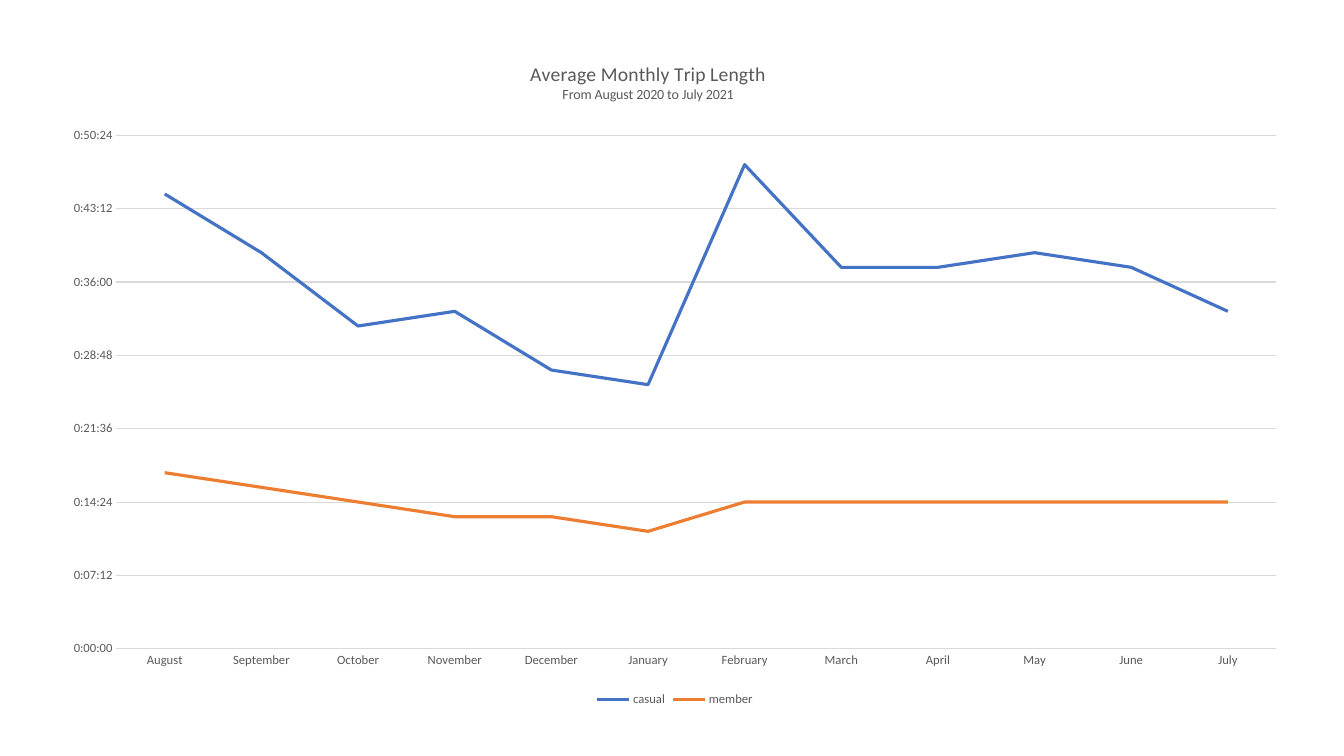
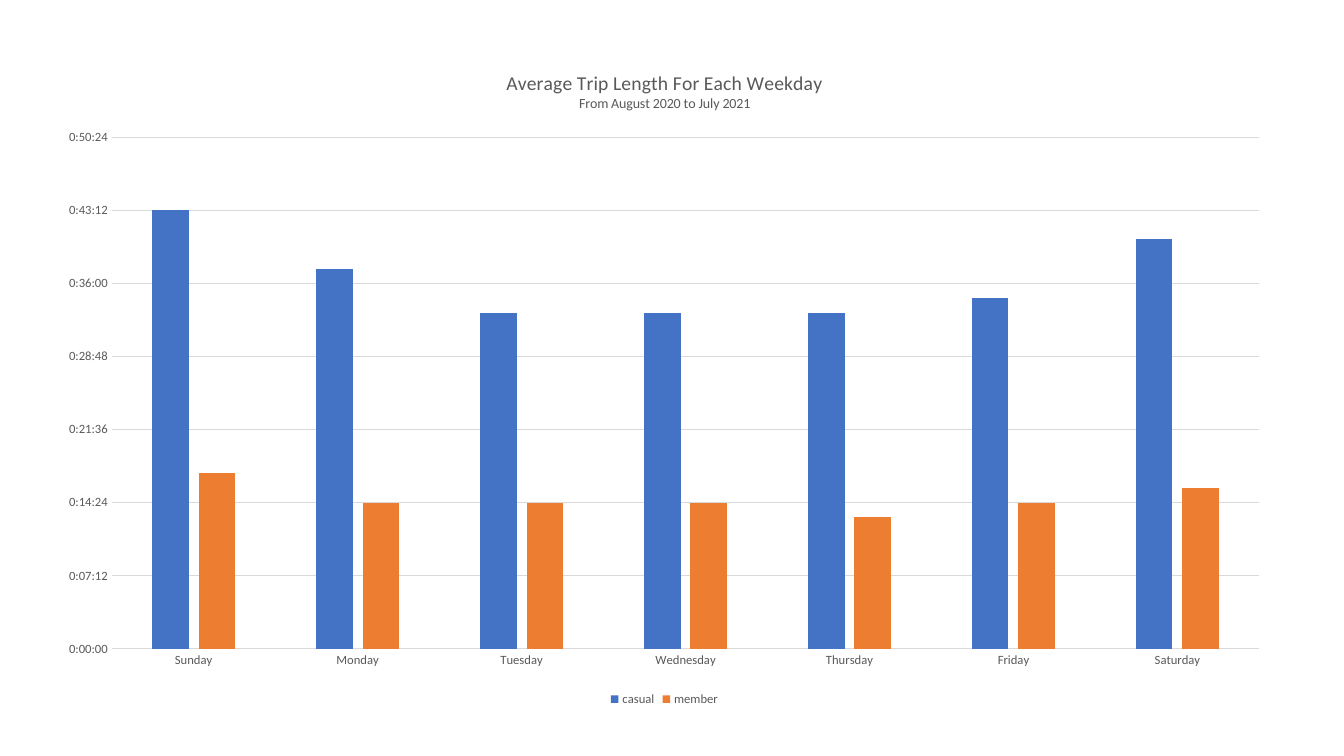
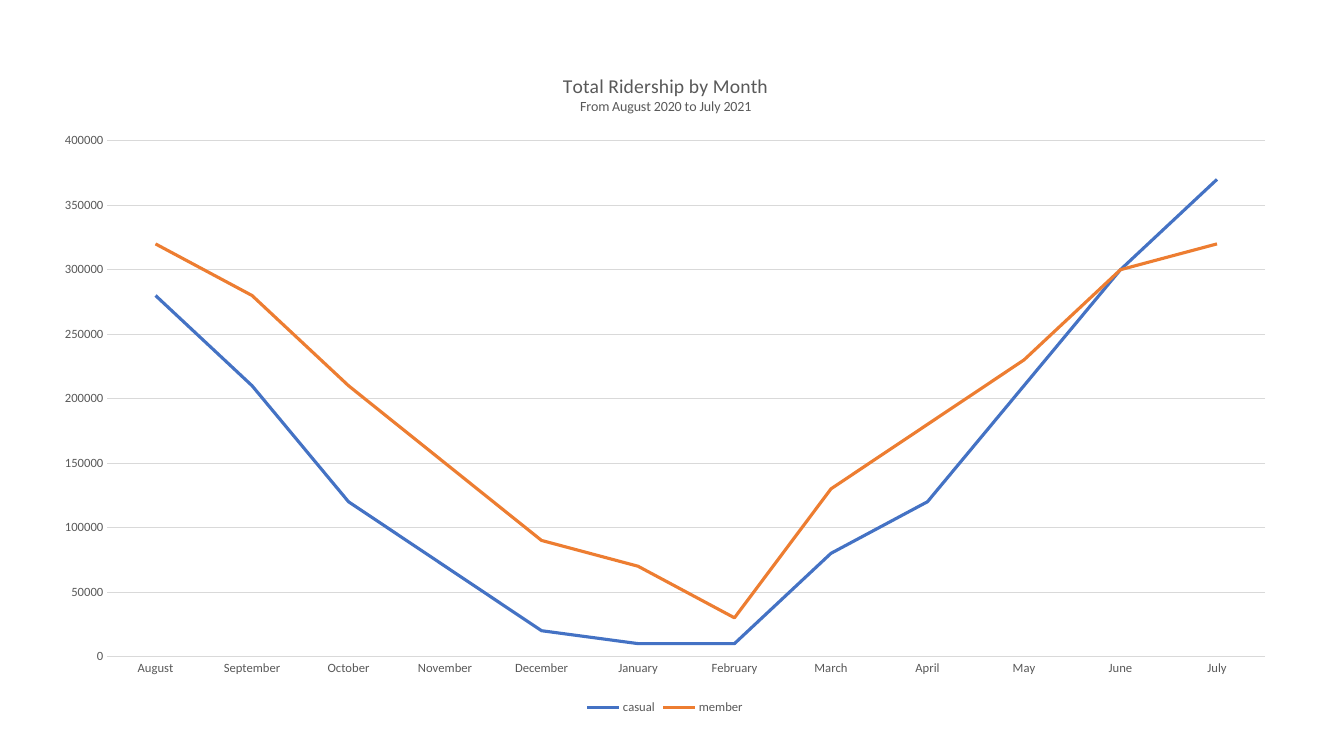
from lxml.etree import SubElement
from pptx import Presentation
from pptx.chart.data import CategoryChartData
from pptx.dml.color import RGBColor
from pptx.enum.chart import XL_CHART_TYPE, XL_LEGEND_POSITION, XL_TICK_MARK
from pptx.oxml import parse_xml
from pptx.oxml.ns import nsdecls, qn
from pptx.util import Inches, Pt

# Shared look
FONT = "Calibri"
GREY = RGBColor(0x59, 0x59, 0x59)
RULE = RGBColor(0xD9, 0xD9, 0xD9)
BLUE = RGBColor(0x44, 0x72, 0xC4)
ORANGE = RGBColor(0xED, 0x7D, 0x31)
RIDER_COLORS = {"casual": BLUE, "member": ORANGE}
SUBTITLE = "From August 2020 to July 2021"
PLOT_BOX = dict(x=0.0543, y=0.134, w=0.9255, h=0.773)
DURATION = "[h]:mm:ss;@"
MONTHS = ["August", "September", "October", "November", "December", "January",
          "February", "March", "April", "May", "June", "July"]
WEEKDAYS = ["Sunday", "Monday", "Tuesday", "Wednesday", "Thursday", "Friday", "Saturday"]


def style_font(font, size=9, color=GREY):
    font.name, font.size, font.bold = FONT, Pt(size), False
    font.color.rgb = color


def add_text(p, text, **style):
    r = p.add_run()
    r.text = text
    style_font(r.font, **style)


def place(element, index, **box):
    """Fix a chart part at fractions of the chart's own size."""
    for old in element.findall(qn("c:layout")):
        element.remove(old)
    layout = parse_xml(f"<c:layout {nsdecls('c')}/>")
    manual = SubElement(layout, qn("c:manualLayout"))
    if "w" in box:
        SubElement(manual, qn("c:layoutTarget")).set("val", "inner")
    for mode in ("xMode", "yMode"):
        SubElement(manual, qn(f"c:{mode}")).set("val", "edge")
    for key, value in box.items():
        SubElement(manual, qn(f"c:{key}")).set("val", str(value))
    element.insert(index, layout)


def add_title(chart, title, x, y):
    chart.has_title = True
    tf = chart.chart_title.text_frame
    add_text(tf.paragraphs[0], title, size=14)
    add_text(tf.add_paragraph(), SUBTITLE, size=10)
    place(chart.chart_title.element, 1, x=x, y=y)


def style_axes(chart, top, step, number_format):
    for axis in (chart.category_axis, chart.value_axis):
        axis.major_tick_mark = axis.minor_tick_mark = XL_TICK_MARK.NONE
        style_font(axis.tick_labels.font)
    line = chart.category_axis.format.line
    line.color.rgb, line.width = RULE, Pt(0.75)

    axis = chart.value_axis
    axis.minimum_scale, axis.maximum_scale, axis.major_unit = 0, top, step
    axis.format.line.fill.background()
    axis.has_major_gridlines = True
    grid = axis.major_gridlines.format.line
    grid.color.rgb, grid.width = RULE, Pt(0.75)
    axis.tick_labels.number_format = number_format
    axis.tick_labels.number_format_is_linked = False


def style_series(plot, kind):
    plot.vary_by_categories = False
    if kind == XL_CHART_TYPE.COLUMN_CLUSTERED:
        plot.gap_width, plot.overlap = 219, -27
    for s in plot.series:
        color = RIDER_COLORS[s.name]
        if kind == XL_CHART_TYPE.LINE:
            s.smooth = False
            s.format.line.color.rgb, s.format.line.width = color, Pt(2.25)
        else:
            s.format.fill.solid()
            s.format.fill.fore_color.rgb = color


def add_chart_slide(prs, box, kind, title, title_at, categories, casual, member,
                    top, step, number_format="General"):
    slide = prs.slides.add_slide(prs.slide_layouts[6])
    data = CategoryChartData(number_format=number_format)
    data.categories = categories
    data.add_series("casual", casual)
    data.add_series("member", member)
    chart = slide.shapes.add_chart(kind, *map(Inches, box), data).chart
    style_font(chart.font, size=10)

    add_title(chart, title, *title_at)
    style_axes(chart, top, step, number_format)
    style_series(chart.plots[0], kind)
    place(chart.element.find(".//" + qn("c:plotArea")), 0, **PLOT_BOX)

    chart.has_legend = True
    chart.legend.position = XL_LEGEND_POSITION.BOTTOM
    chart.legend.include_in_layout = False
    style_font(chart.legend.font)


def main():
    prs = Presentation()
    prs.slide_width, prs.slide_height = Inches(13.33), Inches(7.5)

    # Trip length by month
    add_chart_slide(
        prs, (0.48, 0.46, 12.43, 6.59), XL_CHART_TYPE.LINE,
        "Average Monthly Trip Length", (0.382, 0.017), MONTHS,
        casual=[0.031, 0.027, 0.022, 0.023, 0.019, 0.018,
                0.033, 0.026, 0.026, 0.027, 0.026, 0.023],
        member=[0.012, 0.011, 0.01, 0.009, 0.009, 0.008,
                0.01, 0.01, 0.01, 0.01, 0.01, 0.01],
        top=0.035, step=0.005, number_format=DURATION)

    # Trip length by weekday
    add_chart_slide(
        prs, (0.44, 0.48, 12.3, 6.57), XL_CHART_TYPE.COLUMN_CLUSTERED,
        "Average Trip Length For Each Weekday", (0.37, 0.028), WEEKDAYS,
        casual=[0.03, 0.026, 0.023, 0.023, 0.023, 0.024, 0.028],
        member=[0.012, 0.01, 0.01, 0.01, 0.009, 0.01, 0.011],
        top=0.035, step=0.005, number_format=DURATION)

    # Ridership by month
    add_chart_slide(
        prs, (0.39, 0.51, 12.41, 6.62), XL_CHART_TYPE.LINE,
        "Total Ridership by Month", (0.416, 0.027), MONTHS,
        casual=[280000, 210000, 120000, 70000, 20000, 10000,
                10000, 80000, 120000, 210000, 300000, 370000],
        member=[320000, 280000, 210000, 150000, 90000, 70000,
                30000, 130000, 180000, 230000, 300000, 320000],
        top=400000, step=50000)

    prs.save("out.pptx")


if __name__ == "__main__":
    main()
